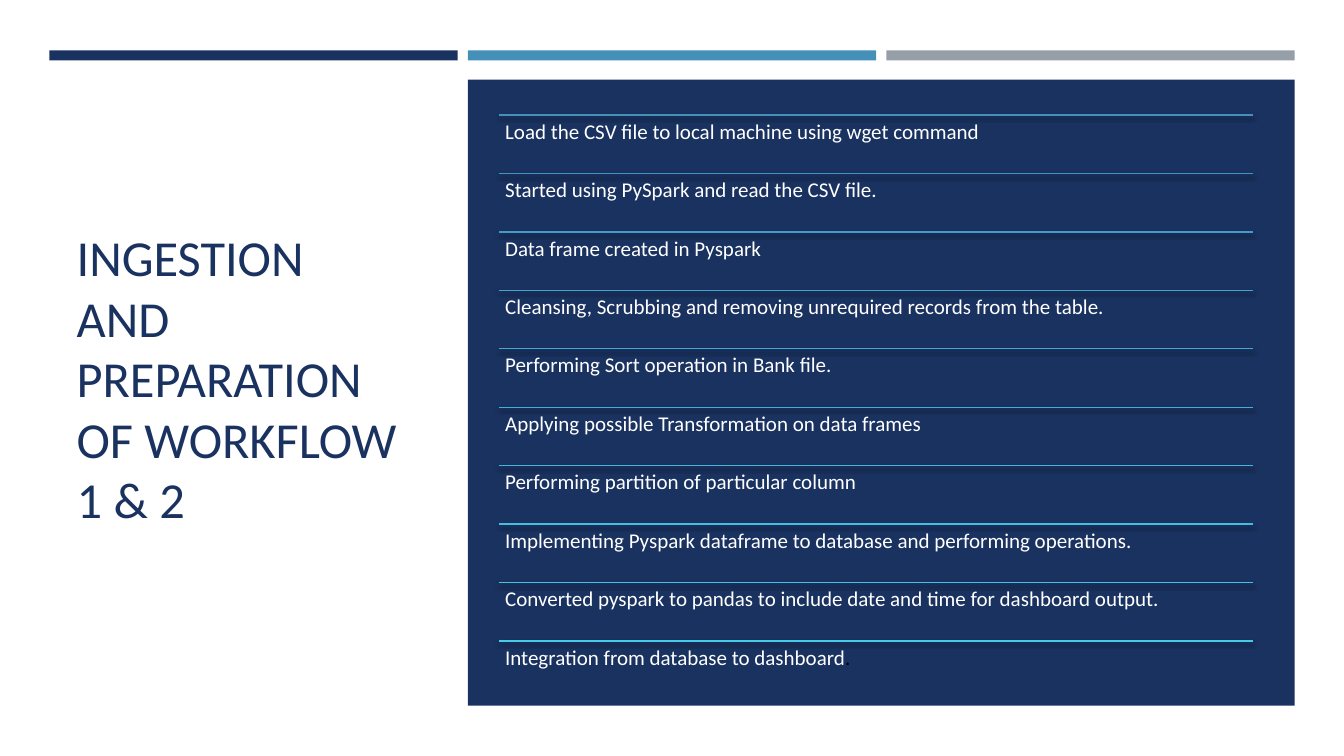
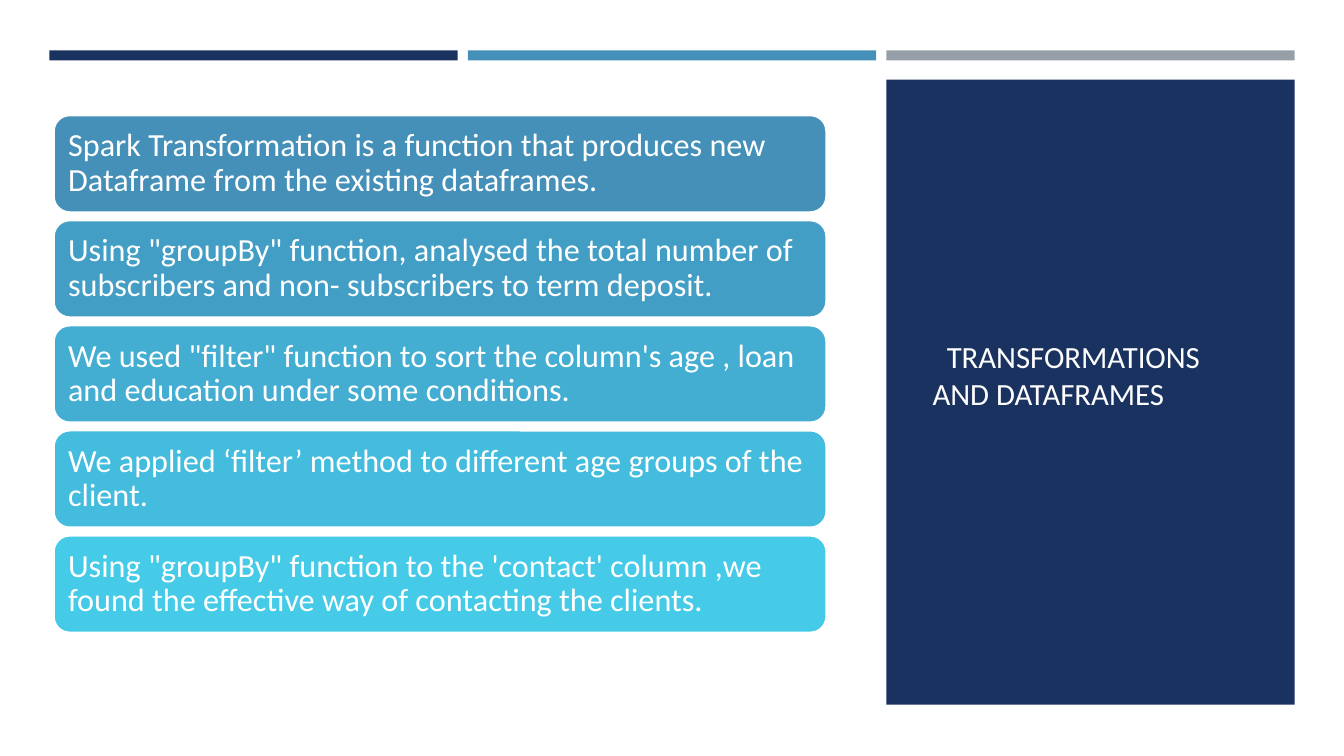
from colorsys import hls_to_rgb, rgb_to_hls
from dataclasses import dataclass

from lxml import etree
from pptx import Presentation
from pptx.dml.color import RGBColor
from pptx.enum.shapes import MSO_CONNECTOR, MSO_SHAPE
from pptx.enum.text import MSO_ANCHOR, MSO_AUTO_SIZE, PP_ALIGN
from pptx.util import Emu, Pt

RECT, ROUNDED = MSO_SHAPE.RECTANGLE, MSO_SHAPE.ROUNDED_RECTANGLE
STRAIGHT = MSO_CONNECTOR.STRAIGHT
LEFT, NO_FIT = PP_ALIGN.LEFT, MSO_AUTO_SIZE.NONE
TOP, MIDDLE = MSO_ANCHOR.TOP, MSO_ANCHOR.MIDDLE
TITLE_ONLY = 5
EMU_PER_PX = 9144  # 100 px to the inch
DRAWING_NS = "http://schemas.openxmlformats.org/drawingml/2006/main"


@dataclass(frozen=True)
class Theme:
    font: str = "Calibri"
    navy: str = "1A3260"
    blue: str = "4590B8"
    cyan: str = "45CBE8"
    gray: str = "969FA7"
    white: str = "FFFFFF"
    title_white: str = "FFFEFF"
    dark: str = "010000"
    large_title: int = 36
    small_title: int = 22
    step_size: int = 15
    card_size: int = 23


THEME = Theme()

# Content
WORKFLOW_TITLE = "INGESTION AND PREPARATION OF WORKFLOW 1 & 2"
WORKFLOW_STEPS = [
    "Load the CSV file to local machine using wget command",
    "Started using PySpark and read the CSV file.",
    "Data frame created in Pyspark",
    "Cleansing, Scrubbing and removing unrequired records from the table.",
    "Performing Sort operation in Bank file.",
    "Applying possible Transformation on data frames",
    "Performing partition of particular column",
    "Implementing Pyspark dataframe to database and performing operations.",
    "Converted pyspark to pandas to include date and time for dashboard output.",
    "Integration from database to dashboard",
]
TRANSFORM_TITLE = "TRANSFORMATIONS\vAND DATAFRAMES"
TRANSFORM_NOTES = [
    "Spark Transformation is a function that produces new Dataframe from the existing dataframes.",
    "Using \"groupBy\" function, analysed the total number of subscribers and non- subscribers to term deposit.",
    "We used \"filter\" function to sort the column's age , loan and education under some conditions.",
    "We applied ‘filter’ method to different age groups of the client.",
    "Using \"groupBy\" function to the 'contact' column ,we found the effective way of contacting the clients.",
]

# Layout in px
SLIDE_SIZE = (1333, 750)
BAND_COLORS = (THEME.navy, THEME.blue, THEME.gray)
BAND_LEFT, BAND_TOP, BAND_WIDTH, BAND_HEIGHT, BAND_PITCH = 49, 50, 405, 10, 415
STEP_LEFT, STEP_TOP, STEP_WIDTH, STEP_PITCH = 495, 114, 748, 58
CARD_LEFT, CARD_TOP, CARD_WIDTH, CARD_HEIGHT, LAST_CARD_TOP = 53, 114, 767, 97, 531


def px(value):
    return Emu(round(value * EMU_PER_PX))


def box(*lengths):
    return [px(length) for length in lengths]


def rgb(color):
    return RGBColor.from_string(color)


def ramp(count):
    """Blend blue into cyan, evenly in hue, lightness and saturation."""
    first, last = (
        rgb_to_hls(*(channel / 255 for channel in rgb(color)))
        for color in (THEME.blue, THEME.cyan)
    )
    colors = []
    for index in range(count):
        share = index / (count - 1)
        blend = [a + (b - a) * share for a, b in zip(first, last)]
        colors.append("".join(f"{round(c * 255):02X}" for c in hls_to_rgb(*blend)))
    return colors


def style_run(run, size, color):
    run.font.name = THEME.font
    run.font.size = Pt(size)
    run.font.color.rgb = rgb(color)


def write(shape, text, size, color, anchor=MIDDLE, inset=None, spacing=1.0):
    frame = shape.text_frame
    frame.text = text
    frame.word_wrap = True
    frame.auto_size = NO_FIT
    frame.vertical_anchor = anchor
    if inset is not None:
        frame.margin_left = frame.margin_right = px(inset)
        frame.margin_top = frame.margin_bottom = px(inset)
    paragraph = frame.paragraphs[0]
    paragraph.alignment = LEFT
    paragraph.line_spacing = spacing
    for run in paragraph.runs:
        style_run(run, size, color)
    return paragraph


def add_block(slide, kind, place, color, border=None):
    block = slide.shapes.add_shape(kind, *box(*place))
    block.shadow.inherit = False
    block.fill.solid()
    block.fill.fore_color.rgb = rgb(color)
    if border:
        block.line.color.rgb = rgb(border)
        block.line.width = Pt(2)
    else:
        block.line.fill.background()
    return block


def add_rule(slide, left, top, width, color):
    """Draw a thin line with a soft shadow below it."""
    rule = slide.shapes.add_connector(STRAIGHT, *box(left, top, left + width, top))
    rule.line.color.rgb = rgb(color)
    rule.line.width = Pt(1)
    effects = etree.SubElement(rule.element.spPr, f"{{{DRAWING_NS}}}effectLst")
    shadow = etree.SubElement(
        effects, f"{{{DRAWING_NS}}}outerShdw",
        blurRad=str(Pt(3)), dist=str(Pt(2)), dir="5400000", rotWithShape="0",
    )
    tint = etree.SubElement(shadow, f"{{{DRAWING_NS}}}srgbClr", val="000000")
    etree.SubElement(tint, f"{{{DRAWING_NS}}}alpha", val="55000")


def start_slide(deck, panel, title, title_place, size, color):
    """Add the bands, the navy panel and the title above it."""
    slide = deck.slides.add_slide(deck.slide_layouts[TITLE_ONLY])
    for index, band_color in enumerate(BAND_COLORS):
        left = BAND_LEFT + index * BAND_PITCH
        add_block(slide, RECT, (left, BAND_TOP, BAND_WIDTH, BAND_HEIGHT), band_color)
    add_block(slide, RECT, panel, THEME.navy)
    heading = slide.shapes.title
    heading.left, heading.top, heading.width, heading.height = box(*title_place)
    paragraph = write(heading, title, size, color)
    heading.element.getparent().append(heading.element)
    return slide, paragraph


def build_workflow(deck):
    slide, _ = start_slide(
        deck, (464, 79, 820, 621), WORKFLOW_TITLE, (66, 117, 343, 515),
        THEME.large_title, THEME.navy,
    )
    # Ruled list of steps
    for index, (step, color) in enumerate(zip(WORKFLOW_STEPS, ramp(len(WORKFLOW_STEPS)))):
        top = STEP_TOP + index * STEP_PITCH
        add_rule(slide, STEP_LEFT, top, STEP_WIDTH, color)
        label = slide.shapes.add_textbox(*box(STEP_LEFT, top, STEP_WIDTH, STEP_PITCH))
        paragraph = write(label, step, THEME.step_size, THEME.white, TOP, 6, 0.9)
    # The last step ends in a dark full stop
    full_stop = paragraph.add_run()
    full_stop.text = "."
    style_run(full_stop, THEME.step_size, THEME.dark)


def build_transformations(deck):
    slide, heading = start_slide(
        deck, (879, 79, 405, 620), TRANSFORM_TITLE, (915, 114, 334, 515),
        THEME.small_title, THEME.title_white,
    )
    # The first title line is set in a little
    heading_format = heading._p.get_or_add_pPr()
    heading_format.set("marL", "0")
    heading_format.set("indent", str(px(14)))
    # Stack of cards
    pitch = (LAST_CARD_TOP - CARD_TOP) / (len(TRANSFORM_NOTES) - 1)
    for index, (note, color) in enumerate(zip(TRANSFORM_NOTES, ramp(len(TRANSFORM_NOTES)))):
        place = (CARD_LEFT, CARD_TOP + index * pitch, CARD_WIDTH, CARD_HEIGHT)
        card = add_block(slide, ROUNDED, place, color, THEME.white)
        write(card, note, THEME.card_size, THEME.white, inset=10, spacing=0.9)


def main():
    deck = Presentation()
    deck.slide_width, deck.slide_height = box(*SLIDE_SIZE)
    build_workflow(deck)
    build_transformations(deck)
    deck.save("out.pptx")


if __name__ == "__main__":
    main()
